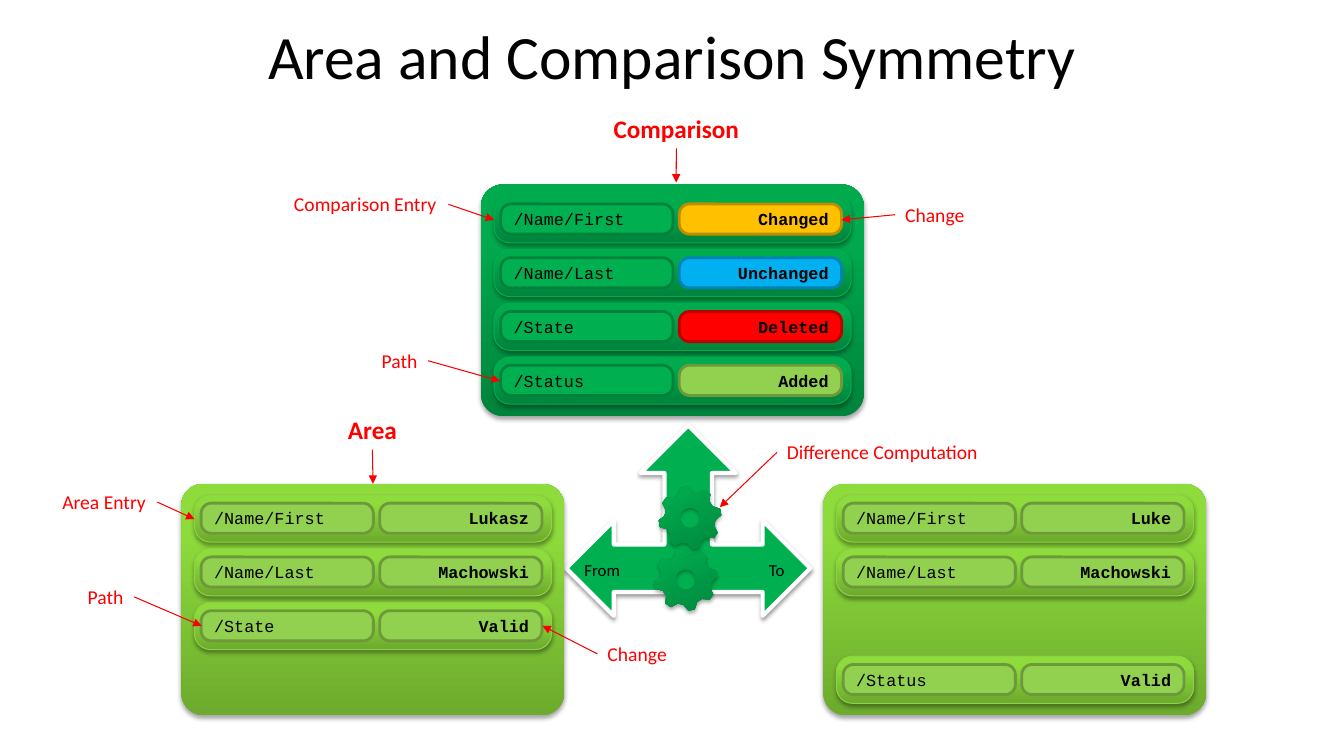
from math import cos, radians, sin
from lxml.etree import SubElement
from pptx import Presentation
from pptx.dml.color import RGBColor
from pptx.enum.shapes import MSO_CONNECTOR, MSO_SHAPE
from pptx.enum.text import MSO_ANCHOR, PP_ALIGN
from pptx.oxml.ns import qn
from pptx.util import Cm, Pt

# Content: lengths in cm
TITLE = "Area and Comparison Symmetry"
LIME = {"gradient": ("6DAA2D", "8EDC3B"), "edge": "8FCF4B", "cell": ("92D050", "6C9A3B")}
GREEN = {"gradient": ("00833C", "00AB4E"), "edge": "00AC4E", "cell": ("00B050", "00823B")}
CHANGED, UNCHANGED, DELETED = ("FFC000", "BD8E00"), ("00B0F0", "0082B2"), ("FF0000", "BD0000")
ADDED = LIME["cell"]
RED, ARROW_RED, BLACK, WHITE = "FF0000", "F90000", "000000", "FFFFFF"

# left, top, theme, entries: (slot, path, value, value colours)
PANELS = [
    (4.57, 12.19, LIME, [(0, "/Name/First", "Lukasz", LIME["cell"]),
                         (1, "/Name/Last", "Machowski", LIME["cell"]),
                         (2, "/State", "Valid", LIME["cell"])]),
    (20.75, 12.19, LIME, [(0, "/Name/First", "Luke", LIME["cell"]),
                          (1, "/Name/Last", "Machowski", LIME["cell"]),
                          (3, "/Status", "Valid", LIME["cell"])]),
    (12.12, 4.65, GREEN, [(0, "/Name/First", "Changed", CHANGED),
                          (1, "/Name/Last", "Unchanged", UNCHANGED),
                          (2, "/State", "Deleted", DELETED),
                          (3, "/Status", "Added", ADDED)]),
]
GEAR_CENTRES = [(17.39, 13.05), (17.28, 14.6)]

# text, left, top, width, side where the arrow starts, arrow tip
HEADINGS = [
    ("Comparison", 15.19, 2.72, 3.71, "bottom", (17.04, 4.6)),
    ("Area", 8.51, 10.31, 1.75, "bottom", (9.4, 12.19)),
]
CALLOUTS = [
    ("Comparison Entry", 7.16, 4.72, 4.14, "right", (12.45, 5.54)),
    ("Change", 22.56, 4.98, 2.03, "left", (21.21, 5.54)),
    ("Path", 9.37, 8.66, 1.42, "right", (12.6, 9.6)),
    ("Area Entry", 1.32, 12.22, 2.64, "right", (4.9, 13.08)),
    ("Path", 1.96, 14.61, 1.42, "right", (5.08, 15.77)),
    ("Change", 15.06, 16.05, 2.03, "left", (13.67, 15.77)),
    ("Difference Computation", 19.58, 10.97, 5.38, "left", (18.14, 12.78)),
]
DIRECTIONS = [("From", 14.48, 13.97, 1.42), ("To", 19.13, 13.97, 0.91)]

# Sizes
PANEL_W, PANEL_H = 9.65, 5.84
ENTRY_X, ENTRY_Y, ENTRY_W, ENTRY_H, ENTRY_PITCH = 0.33, 0.28, 9.0, 1.19, 1.355
PATH_X, PATH_W, VALUE_X, VALUE_W = 0.17, 4.34, 4.67, 4.09
CELL_Y, CELL_H = 0.21, 0.76
TEETH, TIP_R, ROOT_R, HOLE_R = 8, 0.79, 0.64, 0.26


def rgb(code):
    return RGBColor.from_string(code)


def paint(shape, fill, line=None, width=0.75):
    """A pair of colours as fill makes a gradient from bottom to top."""
    if isinstance(fill, tuple):
        shape.fill.gradient()
        shape.fill.gradient_angle = 90
        for stop, code, position in zip(shape.fill.gradient_stops, fill, (0, 0.8)):
            stop.color.rgb = rgb(code)
            stop.position = position
    else:
        shape.fill.solid()
        shape.fill.fore_color.rgb = rgb(fill)
    if line:
        shape.line.color.rgb = rgb(line)
        shape.line.width = Pt(width)
    else:
        shape.line.fill.background()
    shape.shadow.inherit = False


def cast_shadow(shape, opacity=35, distance=1.8):
    effects = shape._element.spPr.find(qn("a:effectLst"))
    outer = SubElement(effects, qn("a:outerShdw"), blurRad=str(Pt(3.1)), dist=str(Pt(distance)),
                       dir="5400000", rotWithShape="0")
    black = SubElement(outer, qn("a:srgbClr"), val=BLACK)
    SubElement(black, qn("a:alpha"), val=str(opacity * 1000))


def write(shape, text, size, font="Calibri", color=BLACK, bold=False, align=PP_ALIGN.LEFT):
    paragraph = shape.text_frame.paragraphs[0]
    paragraph.alignment = align
    run = paragraph.add_run()
    run.text = text
    run.font.size, run.font.name, run.font.bold = Pt(size), font, bold
    run.font.color.rgb = rgb(color)
    return paragraph


def add_rounded(shapes, x, y, w, h, corner):
    box = shapes.add_shape(MSO_SHAPE.ROUNDED_RECTANGLE, Cm(x), Cm(y), Cm(w), Cm(h))
    box.adjustments[0] = corner
    return box


def add_cell(shapes, x, y, w, text, colours, bold, align):
    cell = add_rounded(shapes, x, y, w, CELL_H, 0.339)
    paint(cell, *colours, width=2)
    cell.text_frame.vertical_anchor = MSO_ANCHOR.MIDDLE
    write(cell, text, 12, "Courier New", bold=bold, align=align)


def add_panel(left, top, theme, entries):
    shapes = slide.shapes.add_group_shape().shapes
    panel = add_rounded(shapes, left, top, PANEL_W, PANEL_H, 0.096)
    paint(panel, theme["gradient"])
    cast_shadow(panel)
    for slot, path_text, value, colours in entries:
        x, y = left + ENTRY_X, top + ENTRY_Y + slot * ENTRY_PITCH
        entry = add_rounded(shapes, x, y, ENTRY_W, ENTRY_H, 0.339)
        paint(entry, theme["gradient"], theme["edge"])
        cast_shadow(entry)
        add_cell(shapes, x + PATH_X, y + CELL_Y, PATH_W, path_text, theme["cell"],
                 False, PP_ALIGN.LEFT)
        add_cell(shapes, x + VALUE_X, y + CELL_Y, VALUE_W, value, colours,
                 True, PP_ALIGN.RIGHT)


def add_gear(shapes, cx, cy):
    def at(radius, degrees):
        return Cm(cx + radius * cos(radians(degrees))), Cm(cy + radius * sin(radians(degrees)))

    tooth = [(ROOT_R, -16), (TIP_R, -6), (TIP_R, 6), (ROOT_R, 16)]
    rim = [at(r, -73 + k * 360 / TEETH + turn) for k in range(TEETH) for r, turn in tooth]
    hole = [at(HOLE_R, -turn) for turn in range(0, 360, 15)]
    outline = shapes.build_freeform(*rim[0])
    outline.add_line_segments(rim[1:], close=True)
    outline.move_to(*hole[0])
    outline.add_line_segments(hole[1:], close=True)
    gear = outline.convert_to_shape()
    gear.rotation = 332.1
    paint(gear, GREEN["gradient"])
    cast_shadow(gear)


def add_label(text, x, y, w, h, size, **style):
    label = slide.shapes.add_textbox(Cm(x), Cm(y), Cm(w), Cm(h))
    label.text_frame.word_wrap = False
    write(label, text, size, **style)


def add_pointer(start, tip):
    pointer = slide.shapes.add_connector(MSO_CONNECTOR.STRAIGHT, *map(Cm, start + tip))
    pointer.line.color.rgb = rgb(ARROW_RED)
    pointer.line.width = Pt(0.75)
    SubElement(pointer.line._get_or_add_ln(), qn("a:tailEnd"), type="triangle")
    SubElement(pointer._element.spPr, qn("a:effectLst"))


presentation = Presentation()
presentation.slide_width, presentation.slide_height = Cm(33.87), Cm(19.05)
slide = presentation.slides.add_slide(presentation.slide_layouts[6])

# Three-way arrow
difference = slide.shapes.add_shape(MSO_SHAPE.LEFT_RIGHT_UP_ARROW,
                                    Cm(14.27), Cm(10.72), Cm(6.15), Cm(4.8))
paint(difference, "00B050", WHITE, 3)
cast_shadow(difference, 38, 1.6)

# Title
title = slide.shapes.add_textbox(Cm(2.34), Cm(0.38), Cm(29.21), Cm(2.26))
title.text_frame.word_wrap = True
title.text_frame.vertical_anchor = MSO_ANCHOR.MIDDLE
write(title, TITLE, 44, align=PP_ALIGN.CENTER).line_spacing = 0.9

# Areas and comparison
for panel_data in PANELS:
    add_panel(*panel_data)

# Gears
gears = slide.shapes.add_group_shape()
for centre in GEAR_CENTRES:
    add_gear(gears.shapes, *centre)

# Labels with their arrows
for labels, size, height, bold, align in ((HEADINGS, 18, 1.02, True, PP_ALIGN.CENTER),
                                          (CALLOUTS, 14, 0.86, False, PP_ALIGN.LEFT)):
    for text, x, y, w, side, tip in labels:
        add_label(text, x, y, w, height, size, color=RED, bold=bold, align=align)
        starts = {"left": (x, y + height / 2), "right": (x + w, y + height / 2),
                  "bottom": (x + w / 2, y + height)}
        add_pointer(starts[side], tip)
for text, x, y, w in DIRECTIONS:
    add_label(text, x, y, w, 0.76, 12)

presentation.save("out.pptx")
